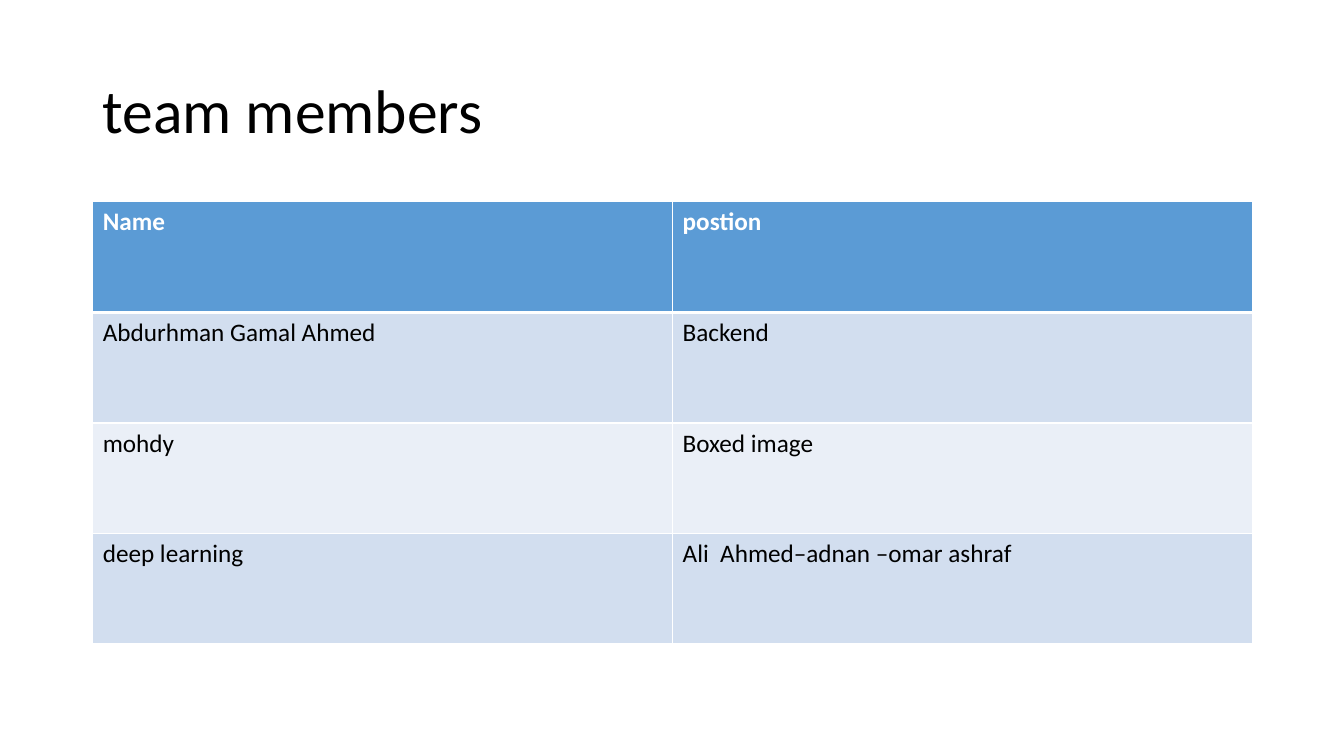
from dataclasses import dataclass
from typing import Any

from lxml.etree import SubElement
from pptx import Presentation
from pptx.dml.color import RGBColor
from pptx.enum.text import MSO_ANCHOR as Anchor
from pptx.oxml.ns import qn
from pptx.util import Inches, Pt

WIDTH, HEIGHT = Inches(13.33), Inches(7.5)
LEFT, SPAN = 0.069, 0.863  # shares of the slide's width
TITLE_TOP, TITLE_SHARE = 0.053, 0.193  # shares of the slide's height
TABLE_TOP, TABLE_SHARE = 0.267, 0.585
WHITE, BLACK = "FFFFFF", "000000"


@dataclass
class Row:
    texts: tuple[str, str]
    fill: str
    color: str = BLACK
    bold: bool = False
    top_line: float = 1
    bottom_line: float = 1


ROWS = [
    Row(("Name", "postion"), "5B9BD5", WHITE, True, bottom_line=3),
    Row(("Abdurhman Gamal Ahmed", "Backend"), "D2DEEF", top_line=3),
    Row(("mohdy", "Boxed image"), "EAEFF7"),
    Row(("deep learning", "Ali  Ahmed–adnan –omar ashraf"), "D2DEEF"),
]


def rgb(value: str) -> RGBColor:
    return RGBColor.from_string(value)


def write(frame: Any, text: str, color: str, **font: Any) -> None:
    para = frame.paragraphs[0]
    span = para.add_run()
    span.text = text
    for name, value in {"name": "Calibri", **font}.items():
        setattr(span.font, name, value)
    span.font.color.rgb = rgb(color)


def draw_borders(cell: Any, widths: dict[str, float]) -> None:
    properties = cell._tc.get_or_add_tcPr()
    for side, width in widths.items():
        line = SubElement(properties, qn(f"a:{side}"), w=str(Pt(width)))
        fill = SubElement(line, qn("a:solidFill"))
        SubElement(fill, qn("a:srgbClr"), val=WHITE)


def add_title(page: Any, text: str) -> None:
    box = page.shapes.add_textbox(
        int(WIDTH * LEFT), int(HEIGHT * TITLE_TOP),
        int(WIDTH * SPAN), int(HEIGHT * TITLE_SHARE))
    frame = box.text_frame
    for name, value in {"word_wrap": True, "vertical_anchor": Anchor.MIDDLE}.items():
        setattr(frame, name, value)
    frame.paragraphs[0].line_spacing = 0.9
    write(frame, text, BLACK, size=Pt(44))


def add_members(page: Any, rows: list[Row]) -> None:
    table = page.shapes.add_table(
        len(rows), len(rows[0].texts),
        int(WIDTH * LEFT), int(HEIGHT * TABLE_TOP),
        int(WIDTH * SPAN), int(HEIGHT * TABLE_SHARE)).table
    for y, row in enumerate(rows):
        for x, text in enumerate(row.texts):
            cell = table.cell(y, x)
            write(cell.text_frame, text, row.color, size=Pt(18), bold=row.bold)
            # Borders come before the fill in the cell's properties
            draw_borders(cell, {"lnL": 1, "lnR": 1,
                                "lnT": row.top_line, "lnB": row.bottom_line})
            cell.fill.solid()
            cell.fill.fore_color.rgb = rgb(row.fill)


def main() -> None:
    deck = Presentation()
    deck.slide_width, deck.slide_height = WIDTH, HEIGHT
    page = deck.slides.add_slide(deck.slide_layouts[6])
    # Heading
    add_title(page, "team members")
    # Names and positions
    add_members(page, ROWS)
    deck.save("out.pptx")


if __name__ == "__main__":
    main()
